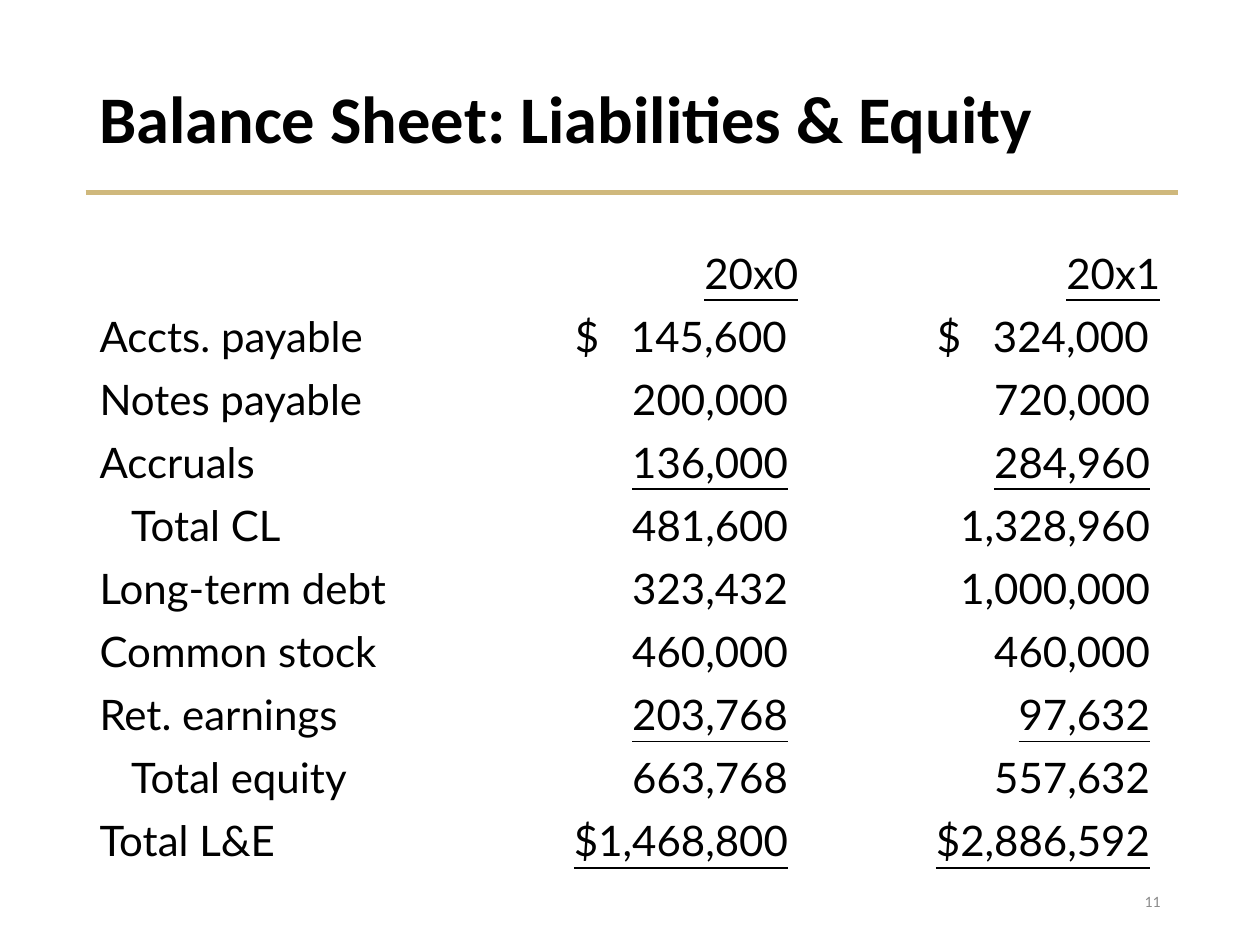
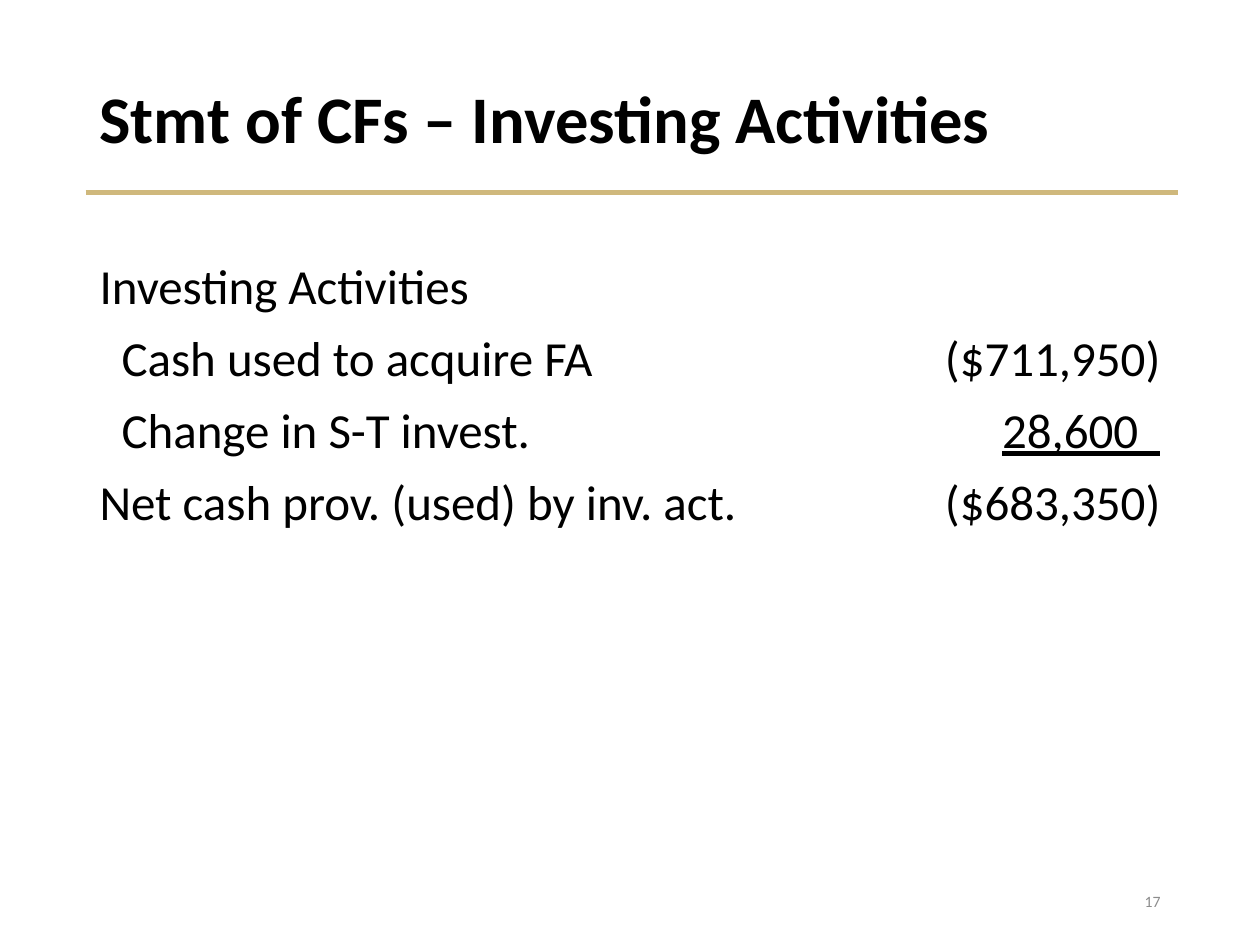
"""Builds the balance sheet and investing cash flow slides."""
from dataclasses import dataclass

from lxml.etree import SubElement
from pptx import Presentation
from pptx.dml.color import RGBColor
from pptx.enum.shapes import MSO_CONNECTOR
from pptx.enum.text import MSO_ANCHOR, PP_ALIGN
from pptx.oxml.ns import qn
from pptx.util import Pt


@dataclass(frozen=True)
class Theme:
    ink: RGBColor = RGBColor(0x00, 0x00, 0x00)
    gold: RGBColor = RGBColor(0xCF, 0xB8, 0x7C)
    gray: RGBColor = RGBColor(0x8C, 0x8C, 0x8C)
    font: str = "Calibri"
    balance_font: str = "Lato"
    title_size: int = 38
    balance_size: int = 24
    cash_flow_size: int = 28
    number_size: int = 9
    left: float = 49.7
    width: float = 620.6
    inset: float = 7.2


@dataclass(frozen=True)
class Entry:
    text: str
    underline: bool = False
    indent: float = 0
    end_gap: float = 0
    tab: float = 0


class Deck:
    def __init__(self, theme):
        self.theme = theme
        self.presentation = Presentation()
        self.presentation.slide_width = Pt(720)
        self.presentation.slide_height = Pt(540)
        self.slide = None

    def add_slide(self, title, number):
        theme = self.theme
        self.slide = self.presentation.slides.add_slide(self.presentation.slide_layouts[6])
        self.add_rule()
        heading = self.add_text(title, theme.left, 28.8, theme.width, 81.4,
                                theme.title_size, theme.ink, bold=True)
        heading.line_spacing = 0.9
        footer = self.add_text(number, 508.3, 500.4, 162, 28.8, theme.number_size, theme.gray)
        footer.alignment = PP_ALIGN.RIGHT

    def add_rule(self):
        rule = self.slide.shapes.add_connector(
            MSO_CONNECTOR.STRAIGHT, Pt(49), Pt(110), Pt(673), Pt(110))
        rule.line.color.rgb = self.theme.gold
        rule.line.width = Pt(3)
        SubElement(rule._element.spPr, qn("a:effectLst"))

    def add_text(self, text, left, top, width, height, size, color, bold=False):
        shape = self.slide.shapes.add_textbox(Pt(left), Pt(top), Pt(width), Pt(height))
        text_frame = shape.text_frame
        text_frame.word_wrap = True
        text_frame.vertical_anchor = MSO_ANCHOR.MIDDLE
        text_frame.text = text
        paragraph = text_frame.paragraphs[0]
        self.format_runs(paragraph, self.theme.font, size, color, bold=bold)
        return paragraph

    def add_table(self, rows, top, widths, row_height, font, size):
        shape = self.slide.shapes.add_table(
            len(rows), len(widths), Pt(self.theme.left), Pt(top),
            Pt(sum(widths)), Pt(row_height * len(rows)))
        table = shape.table
        table.first_row = False
        table.horz_banding = False
        for column, width in zip(table.columns, widths):
            column.width = Pt(width)
        for row, entries in zip(table.rows, rows):
            row.height = Pt(row_height)
            for index, (cell, entry) in enumerate(zip(row.cells, entries)):
                self.fill_cell(cell, entry, index > 0, font, size)

    def fill_cell(self, cell, entry, is_amount, font, size):
        cell.fill.background()
        cell.margin_left = Pt(self.theme.inset + entry.indent)
        cell.margin_right = Pt(self.theme.inset + entry.end_gap)
        cell.text_frame.text = entry.text
        paragraph = cell.text_frame.paragraphs[0]
        if entry.tab:
            tabs = SubElement(paragraph._p.get_or_add_pPr(), qn("a:tabLst"))
            SubElement(tabs, qn("a:tab"), pos=str(Pt(entry.tab)), algn="r")
        elif is_amount:
            paragraph.alignment = PP_ALIGN.RIGHT
        self.format_runs(paragraph, font, size, self.theme.ink, underline=entry.underline)

    def format_runs(self, paragraph, name, size, color, bold=False, underline=False):
        for run in paragraph.runs:
            run.font.name = name
            run.font.size = Pt(size)
            run.font.color.rgb = color
            run.font.bold = bold
            run.font.underline = underline


def amount(text, underline=False):
    if "\t" in text:
        return Entry(text, indent=64.8, end_gap=6, tab=121)
    return Entry(text, underline, end_gap=6)


def build_balance_sheet(deck):
    deck.add_slide("Balance Sheet: Liabilities & Equity", "11")
    lines = [
        ("Accts. payable", "$\t145,600", "$\t324,000"),
        ("Notes payable", "200,000", "720,000"),
        ("Accruals", "136,000", "284,960"),
        ("Total CL", "481,600", "1,328,960"),
        ("Long-term debt", "323,432", "1,000,000"),
        ("Common stock", "460,000", "460,000"),
        ("Ret. earnings", "203,768", "97,632"),
        ("Total equity", "663,768", "557,632"),
        ("Total L&E", "$1,468,800", "$2,886,592"),
    ]
    subtotals = {"Total CL", "Total equity"}
    underlined = {"Accruals", "Ret. earnings", "Total L&E"}
    rows = [[Entry(""), Entry("20x0", underline=True), Entry("20x1", underline=True)]]
    for label, *amounts in lines:
        rows.append([Entry(label, indent=18 if label in subtotals else 0),
                     *(amount(text, label in underlined) for text in amounts)])
    theme = deck.theme
    deck.add_table(rows, 138.2, [theme.width / 3] * 3, 36,
                   theme.balance_font, theme.balance_size)


def build_investing_activities(deck):
    deck.add_slide("Stmt of CFs – Investing Activities", "17")
    rows = [
        [Entry("Investing Activities"), Entry("")],
        [Entry("Cash used to acquire FA", indent=12.6), Entry("($711,950)")],
        [Entry("Change in S-T invest.", indent=12.6), Entry("28,600  ", underline=True)],
        [Entry("Net cash prov. (used) by inv. act."), Entry("($683,350)")],
    ]
    theme = deck.theme
    deck.add_table(rows, 144, [463.4, 157.2], 41, theme.font, theme.cash_flow_size)


def main():
    deck = Deck(Theme())
    build_balance_sheet(deck)
    build_investing_activities(deck)
    deck.presentation.save("out.pptx")


if __name__ == "__main__":
    main()
